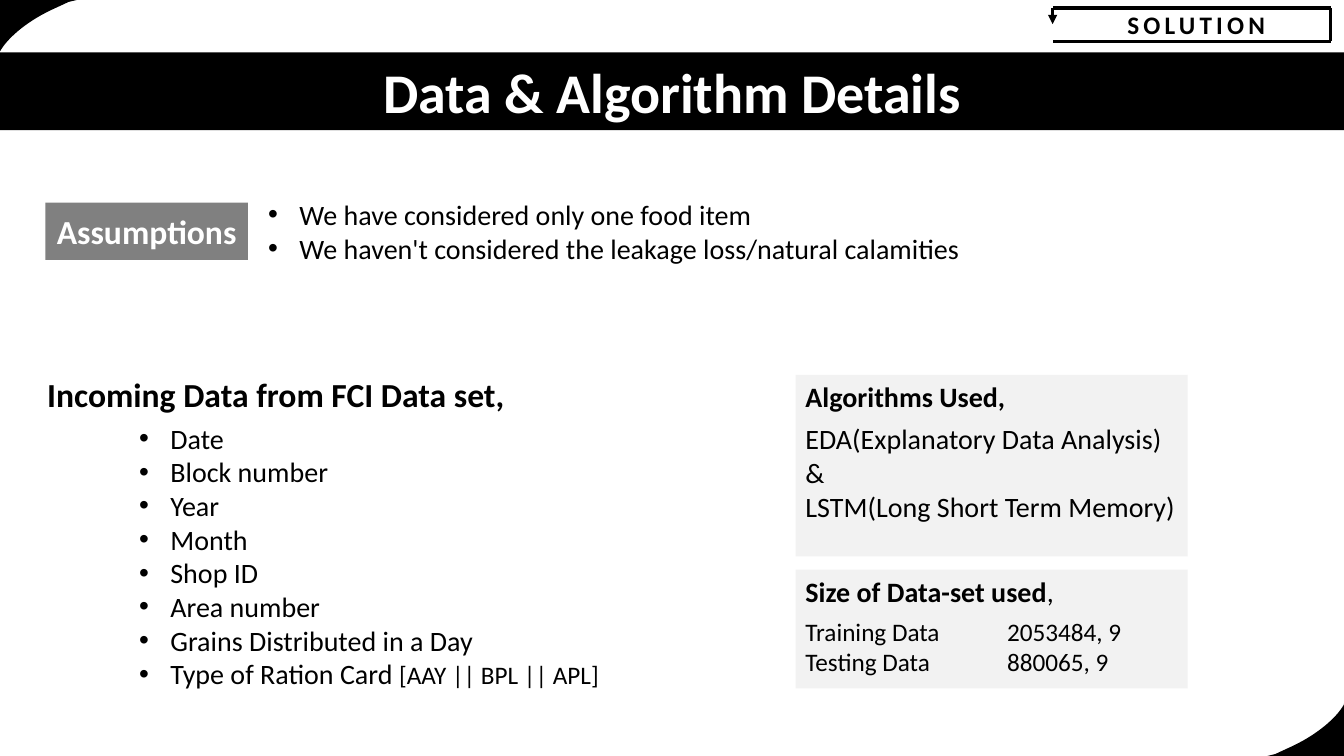
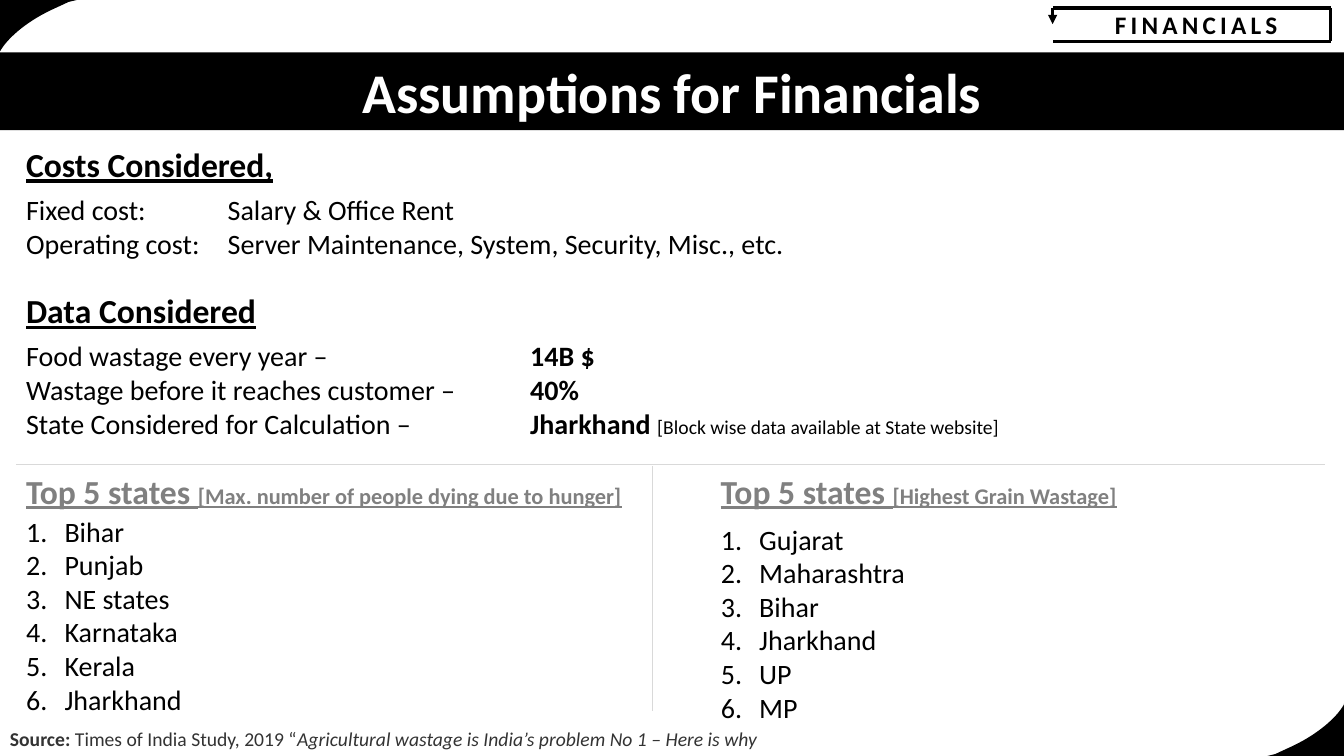
from dataclasses import dataclass
from typing import Optional

from lxml import etree
from pptx import Presentation
from pptx.dml.color import RGBColor
from pptx.enum.shapes import MSO_CONNECTOR, MSO_SHAPE
from pptx.enum.text import MSO_ANCHOR, MSO_AUTO_SIZE, PP_ALIGN
from pptx.oxml.ns import qn
from pptx.util import Inches, Pt

RECTANGLE = MSO_SHAPE.RECTANGLE
STRAIGHT = MSO_CONNECTOR.STRAIGHT
TOP, MIDDLE = MSO_ANCHOR.TOP, MSO_ANCHOR.MIDDLE
LEFT, CENTER = PP_ALIGN.LEFT, PP_ALIGN.CENTER
NO_FIT = MSO_AUTO_SIZE.NONE
TWO_CONTENT = 3


@dataclass(frozen=True)
class Theme:
    font: str = "Calibri"
    black: str = "000000"
    white: str = "FFFFFF"
    gray: str = "808080"
    panel: str = "F2F2F2"
    rule: str = "D9D9D9"
    source: str = "333333"
    title: int = 40
    heading: int = 24
    body: int = 20
    small: int = 18
    remark: int = 16
    note: int = 14
    heading_gap: int = 6
    width: float = 13.33
    height: float = 7.5


THEME = Theme()


@dataclass(frozen=True)
class Area:
    left: float
    top: float
    width: float
    height: float


@dataclass(frozen=True)
class Span:
    text: str
    size: int = THEME.body
    color: str = THEME.black
    bold: bool = False
    italic: bool = False
    underline: bool = False
    spacing: int = 0


@dataclass(frozen=True)
class Marker:
    tag: str
    attribute: str
    value: str
    indent: float


@dataclass(frozen=True)
class Para:
    spans: tuple[Span, ...]
    align: PP_ALIGN = LEFT
    before: int = 0
    tab: Optional[float] = None
    marker: Optional[Marker] = None


@dataclass(frozen=True)
class Line:
    start: tuple[float, float]
    end: tuple[float, float]
    color: str = THEME.black
    weight: float = 2.25
    arrow: bool = False


BULLET = Marker("a:buChar", "char", "•", 0.31)
NUMBER = Marker("a:buAutoNum", "type", "arabicPeriod", 0.38)

TITLE_BAND = Area(0, 0.52, THEME.width, 0.77)
TAG_AREA = Area(10.55, 0.04, 2.63, 0.4)
TAG_LEFT, TAG_RIGHT, TAG_TOP, TAG_BOTTOM = 10.44, 13.2, 0.08, 0.41
TAG_LINES = (
    Line((TAG_RIGHT, TAG_TOP), (TAG_LEFT, TAG_TOP)),
    Line((TAG_RIGHT, TAG_TOP), (TAG_RIGHT, TAG_BOTTOM)),
    Line((TAG_RIGHT, TAG_BOTTOM), (TAG_LEFT, TAG_BOTTOM)),
    Line((TAG_LEFT, TAG_TOP), (TAG_LEFT, 0.24), arrow=True),
)
CORNER_EDGE = ((0, 0.52), (0, 0), (0.76, 0), (0.68, 0.02))
CORNER_CURVE = ((0.55, 0.08), (0.28, 0.2), (0.08, 0.37), (0, 0.51))
CURVE_STEPS = 16


def line_of(text: str, *, align: PP_ALIGN = LEFT, before: int = 0,
            tab: Optional[float] = None, **style) -> Para:
    return Para((Span(text, **style),), align, before, tab)


def list_of(marker: Marker, *items: str) -> list[Para]:
    return [Para((Span(item),), marker=marker) for item in items]


def rows_of(tab: float, *rows: tuple[Span, ...]) -> list[Para]:
    return [Para(row, before=0 if index else THEME.heading_gap, tab=tab)
            for index, row in enumerate(rows)]


def place(shape, area: Area) -> None:
    shape.left, shape.top = Inches(area.left), Inches(area.top)
    shape.width, shape.height = Inches(area.width), Inches(area.height)


def paint(shape, color: str) -> None:
    shape.fill.solid()
    shape.fill.fore_color.rgb = RGBColor.from_string(color)
    shape.line.fill.background()
    shape.shadow.inherit = False


def write_span(paragraph, span: Span) -> None:
    run = paragraph.add_run()
    run.text = span.text
    font = run.font
    font.name, font.size = THEME.font, Pt(span.size)
    font.bold, font.italic, font.underline = span.bold, span.italic, span.underline
    font.color.rgb = RGBColor.from_string(span.color)
    if span.spacing:
        run._r.get_or_add_rPr().set("spc", str(span.spacing * 100))


def write(shape, paras: list[Para], *, anchor: MSO_ANCHOR = TOP) -> None:
    frame = shape.text_frame
    frame.word_wrap = True
    frame.auto_size = NO_FIT
    frame.vertical_anchor = anchor
    for index, para in enumerate(paras):
        paragraph = frame.add_paragraph() if index else frame.paragraphs[0]
        paragraph.alignment = para.align
        paragraph.space_before = Pt(para.before)
        properties = paragraph._p.get_or_add_pPr()
        if para.marker:
            indent = Inches(para.marker.indent)
            properties.set("marL", str(indent))
            properties.set("indent", str(-indent))
            etree.SubElement(properties, qn("a:buFont")).set("typeface", "Arial" if para.marker is BULLET else "+mj-lt")
            etree.SubElement(properties, qn(para.marker.tag)).set(
                para.marker.attribute, para.marker.value)
        if para.tab is not None:
            tabs = etree.SubElement(properties, qn("a:tabLst"))
            etree.SubElement(tabs, qn("a:tab"), pos=str(Inches(para.tab)), algn="l")
        for span in para.spans:
            write_span(paragraph, span)


def add_text(shapes, area: Area, paras: list[Para], *, anchor: MSO_ANCHOR = TOP) -> None:
    box = shapes.add_textbox(0, 0, 0, 0)
    place(box, area)
    write(box, paras, anchor=anchor)


def add_panel(shapes, area: Area, paras: list[Para], *, color: str,
              anchor: MSO_ANCHOR = TOP) -> None:
    panel = shapes.add_shape(RECTANGLE, 0, 0, 0, 0)
    place(panel, area)
    paint(panel, color)
    write(panel, paras, anchor=anchor)


def add_line(shapes, line: Line) -> None:
    connector = shapes.add_connector(
        STRAIGHT, *(Inches(value) for value in line.start + line.end))
    connector.line.color.rgb = RGBColor.from_string(line.color)
    connector.line.width = Pt(line.weight)
    if line.arrow:
        etree.SubElement(connector.line._get_or_add_ln(), qn("a:tailEnd")).set("type", "triangle")
    etree.SubElement(connector._element.spPr, qn("a:effectLst"))


def corner_points() -> list[tuple[float, float]]:
    points = list(CORNER_EDGE)
    for step in range(CURVE_STEPS + 1):
        t = step / CURVE_STEPS
        weights = ((1 - t) ** 3, 3 * t * (1 - t) ** 2, 3 * t ** 2 * (1 - t), t ** 3)
        points.append((sum(w * x for w, (x, _) in zip(weights, CORNER_CURVE)),
                       sum(w * y for w, (_, y) in zip(weights, CORNER_CURVE))))
    return points


def add_corners(shapes) -> None:
    top_left = corner_points()
    bottom_right = [(THEME.width - x, THEME.height - y) for x, y in top_left]
    for points in (top_left, bottom_right):
        start, *rest = [(Inches(x), Inches(y)) for x, y in points]
        builder = shapes.build_freeform(*start)
        builder.add_line_segments(rest, close=True)
        paint(builder.convert_to_shape(), THEME.black)


def add_page(deck, title: str, tag: str):
    page = deck.slides.add_slide(deck.slide_layouts[TWO_CONTENT])
    band = page.shapes.title
    place(band, TITLE_BAND)
    paint(band, THEME.black)
    write(band, [line_of(title, align=CENTER, size=THEME.title, color=THEME.white, bold=True)],
          anchor=MIDDLE)
    add_corners(page.shapes)
    group = page.shapes.add_group_shape()
    add_text(group.shapes, TAG_AREA,
             [line_of(tag, align=CENTER, size=THEME.small, bold=True, spacing=3)], anchor=MIDDLE)
    for line in TAG_LINES:
        add_line(group.shapes, line)
    return page


def fill_list(page, index: int, area: Area, paras: list[Para]) -> None:
    body = page.placeholders[index]
    place(body, area)
    write(body, paras)


def add_data_page(deck) -> None:
    page = add_page(deck, "Data & Algorithm Details", "SOLUTION")
    shapes = page.shapes
    add_panel(shapes, Area(0.45, 2.01, 2.01, 0.57),
              [line_of("Assumptions", align=CENTER, size=THEME.heading,
                       color=THEME.white, bold=True)], color=THEME.gray, anchor=MIDDLE)
    fill_list(page, 1, Area(2.56, 1.91, 7.79, 0.77), list_of(
        BULLET, "We have considered only one food item",
        "We haven't considered the leakage loss/natural calamities"))
    add_text(shapes, Area(0.37, 3.66, 9.29, 0.38),
             [line_of("Incoming Data from FCI Data set,", size=THEME.heading, bold=True)])
    fields = list_of(BULLET, "Date", "Block number", "Year", "Month", "Shop ID",
                     "Area number", "Grains Distributed in a Day")
    card = Para((Span("Type of Ration Card "),
                 Span("[AAY || BPL || APL]", size=THEME.small)), marker=BULLET)
    fill_list(page, 2, Area(1.28, 4.13, 5.07, 2.75), fields + [card])
    add_panel(shapes, Area(7.89, 3.72, 3.89, 1.8), [
        line_of("Algorithms Used,", bold=True),
        line_of("EDA(Explanatory Data Analysis)", before=THEME.heading_gap),
        line_of("&"),
        line_of("LSTM(Long Short Term Memory)"),
    ], color=THEME.panel)
    sizes = rows_of(2.0, *((Span(text, size=THEME.small),) for text in (
        "Training Data\t2053484, 9", "Testing Data\t880065, 9")))
    heading = Para((Span("Size of Data-set used", bold=True), Span(",")))
    add_panel(shapes, Area(7.89, 5.65, 3.89, 1.18), [heading] + sizes, color=THEME.panel)


def add_financials_page(deck) -> None:
    page = add_page(deck, "Assumptions for Financials", "FINANCIALS")
    shapes = page.shapes
    costs = rows_of(2.0, (Span("Fixed cost:\tSalary & Office Rent"),), (
        Span("Operating cost:\tServer Maintenance, System, Security, Misc., etc."),))
    facts = rows_of(
        5.0,
        (Span("Food wastage every year –\t"), Span("14B $", bold=True)),
        (Span("Wastage before it reaches customer –\t"), Span("40%", bold=True)),
        (Span("State Considered for Calculation –\t"), Span("Jharkhand ", bold=True),
         Span("[Block wise data available at State website]", size=THEME.note)))
    for heading, top, height, rows in (("Costs Considered,", 1.38, 1.26, costs),
                                       ("Data Considered", 2.83, 1.6, facts)):
        title = line_of(heading, size=THEME.heading, bold=True, underline=True)
        add_text(shapes, Area(0.16, top, 12.31, height), [title] + rows)

    rankings = (
        (0.16, 6.31, 5.05, "[Max. number of people dying due to hunger]",
         ("Bihar", "Punjab", "NE states", "Karnataka", "Kerala", "Jharkhand")),
        (7.05, 5.9, 5.13, "[Highest Grain Wastage]",
         ("Gujarat", "Maharashtra", "Bihar", "Jharkhand", "UP", "MP")),
    )
    for index, (left, width, top, remark, states) in enumerate(rankings, start=1):
        heading = Para(tuple(
            Span(text, size=size, color=THEME.gray, bold=True, underline=True)
            for text, size in (("Top 5 states ", THEME.heading), (remark, THEME.remark))))
        add_text(shapes, Area(left, 4.62, width, 0.5), [heading])
        fill_list(page, index, Area(left, top, 2.03, 2.12), list_of(NUMBER, *states))
    add_line(shapes, Line((6.47, 7.05), (6.47, 4.62), THEME.rule, 0.75))
    add_line(shapes, Line((0.16, 4.61), (13.14, 4.61), THEME.rule, 0.5))
    source = Para(tuple(
        Span(text, size=THEME.note, color=THEME.source, bold=bold, italic=italic)
        for text, bold, italic in (
            ("Source: ", True, False),
            ("Times of India Study, 2019 “", False, False),
            ("Agricultural wastage is India’s problem No 1 – Here is why", False, True))))
    add_text(shapes, Area(0, 7.16, 10.97, 0.34), [source])


def main() -> None:
    deck = Presentation()
    deck.slide_width, deck.slide_height = Inches(THEME.width), Inches(THEME.height)
    add_data_page(deck)
    add_financials_page(deck)
    deck.save("out.pptx")


if __name__ == "__main__":
    main()
